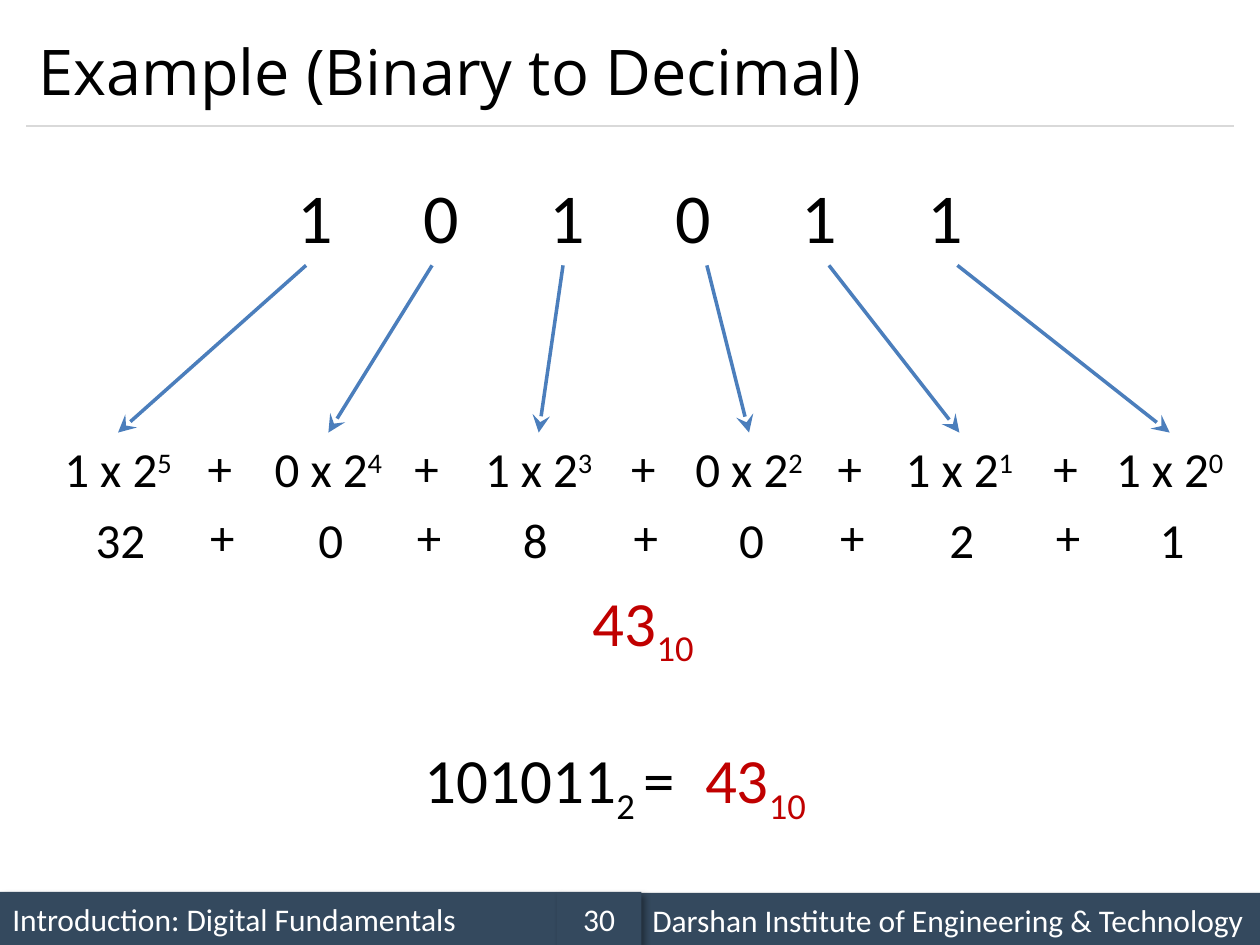
from lxml import etree
from pptx import Presentation
from pptx.dml.color import RGBColor
from pptx.enum import shapes, text
from pptx.oxml import ns
from pptx.util import Cm, Pt

BLACK = RGBColor(0x00, 0x00, 0x00)
WHITE = RGBColor(0xFF, 0xFF, 0xFF)
RED = RGBColor(0xC0, 0x00, 0x00)
BLUE = RGBColor(0x4B, 0x7E, 0xBC)
SLATE = RGBColor(0x34, 0x49, 0x5E)
RULE_GREY = RGBColor(0xD9, 0xD9, 0xD9)

TITLE = "Example (Binary to Decimal)"
# bit, power of two, value, x where the arrow starts, sideways shift of the value
COLUMNS = [
    ("1", "5", "32", 6.17, 0.05),
    ("0", "4", "0", 8.71, 0.05),
    ("1", "3", "8", 11.35, -0.07),
    ("0", "2", "0", 14.25, 0.05),
    ("1", "1", "2", 16.71, 0.05),
    ("1", "0", "1", 19.3, 0.05),
]
PLUS_LEFTS = [3.91, 8.08, 12.45, 16.61, 20.96]
# text, left, top, width, alignment
FOOTER = [
    ("Introduction: Digital Fundamentals", 0, 17.98, 11.23, text.PP_ALIGN.LEFT),
    ("Darshan Institute of Engineering & Technology", 12.9, 18.0, 12.5, text.PP_ALIGN.LEFT),
    ("30", 11.23, 17.98, 1.7, text.PP_ALIGN.CENTER),
]
RESULT = [("43", 0), ("10", -25)]
BINARY = [("101011", 0), ("2 ", -25), ("=", 0)]

FIRST_LEFT, COLUMN_STEP, COLUMN_WIDTH = 0.74, 4.24, 3.28
PLUS_WIDTH, ROW_HEIGHT, RESULT_HEIGHT = 1.04, 1.45, 1.8
TERM_TOP, VALUE_TOP = 8.72, 10.14
ARROW_TOP, ARROW_BOTTOM = 5.35, 8.72
BIT_STEP = 2.54


def add_text(slide, pieces, left, top, width, height, size, color=BLACK,
             font="Calibri", align=text.PP_ALIGN.CENTER, anchor=text.MSO_ANCHOR.TOP):
    """Add a text box and return its paragraph; pieces are (text, baseline percent)."""
    box = slide.shapes.add_textbox(Cm(left), Cm(top), Cm(width), Cm(height))
    box.text_frame.word_wrap = True
    box.text_frame.vertical_anchor = anchor
    paragraph = box.text_frame.paragraphs[0]
    paragraph.alignment = align
    for wording, baseline in pieces:
        run = paragraph.add_run()
        run.text = wording
        run.font.size, run.font.name = Pt(size), font
        run.font.color.rgb = color
        if baseline:
            run.font._element.set("baseline", str(baseline * 1000))
    return paragraph


def set_tabs(paragraph, step, count):
    """Put count left tab stops on the paragraph, step centimetres apart."""
    properties = paragraph._p.get_or_add_pPr()
    properties.set("defTabSz", str(Cm(step)))
    tabs = etree.SubElement(properties, ns.qn("a:tabLst"))
    for i in range(1, count + 1):
        etree.SubElement(tabs, ns.qn("a:tab"), pos=str(Cm(step * i)), algn="l")


def add_line(slide, x1, y1, x2, y2, color, width, arrow=False):
    line = slide.shapes.add_connector(
        shapes.MSO_CONNECTOR.STRAIGHT, Cm(x1), Cm(y1), Cm(x2), Cm(y2))
    line.line.color.rgb = color
    line.line.width = Pt(width)
    if arrow:
        etree.SubElement(line.line._get_or_add_ln(), ns.qn("a:tailEnd"),
                         type="stealth", w="lg", len="lg")
    etree.SubElement(line._element.spPr, ns.qn("a:effectLst"))


def add_footer_bar(slide, wording, left, top, width, align):
    bar = slide.shapes.add_shape(
        shapes.MSO_SHAPE.RECTANGLE, Cm(left), Cm(top), Cm(width), Cm(1.07))
    bar.fill.solid()
    bar.fill.fore_color.rgb = SLATE
    bar.line.fill.background()
    effects = etree.SubElement(bar._element.spPr, ns.qn("a:effectLst"))
    shadow = etree.SubElement(effects, ns.qn("a:outerShdw"), blurRad=str(Pt(4)),
                              dist=str(Pt(3)), dir="2700000", algn="tl", rotWithShape="0")
    shade = etree.SubElement(shadow, ns.qn("a:srgbClr"), val="000000")
    etree.SubElement(shade, ns.qn("a:alpha"), val="40000")
    frame = bar.text_frame
    frame.text = wording
    frame.vertical_anchor = text.MSO_ANCHOR.MIDDLE
    frame.paragraphs[0].alignment = align
    font = frame.paragraphs[0].runs[0].font
    font.size, font.name = Pt(18), "Calibri"
    font.color.rgb = WHITE


def main():
    deck = Presentation()
    deck.slide_width, deck.slide_height = Cm(25.4), Cm(19.05)
    slide = deck.slides.add_slide(deck.slide_layouts[6])

    for bar in FOOTER:
        add_footer_bar(slide, *bar)
    add_line(slide, 0.53, 2.54, 24.87, 2.54, RULE_GREY, 0.75)
    add_text(slide, [(TITLE, 0)], 0.53, 0.3, 24.34, 2.24, 36, font="Open Sans",
             align=text.PP_ALIGN.LEFT, anchor=text.MSO_ANCHOR.MIDDLE)

    bits = "\t".join(column[0] for column in COLUMNS)
    bit_row = add_text(slide, [(bits, 0)], 0.53, 3.38, 24.34, 1.96, 40)
    set_tabs(bit_row, BIT_STEP, len(COLUMNS) - 1)

    for i, (bit, power, value, arrow_x, shift) in enumerate(COLUMNS):
        left = FIRST_LEFT + i * COLUMN_STEP
        add_line(slide, arrow_x, ARROW_TOP, left + COLUMN_WIDTH / 2, ARROW_BOTTOM,
                 BLUE, 2, arrow=True)
        add_text(slide, [(f"{bit} x 2", 0), (power, 30)],
                 left, TERM_TOP, COLUMN_WIDTH, ROW_HEIGHT, 28)
        add_text(slide, [(value, 0)],
                 left + shift, VALUE_TOP, COLUMN_WIDTH, ROW_HEIGHT, 28)

    for left in PLUS_LEFTS:
        add_text(slide, [("+", 0)], left, 8.69, PLUS_WIDTH, ROW_HEIGHT, 28)
        add_text(slide, [("+", 0)], left + 0.05, 10.08, PLUS_WIDTH, ROW_HEIGHT, 28)

    add_text(slide, RESULT, 11.33, 11.63, COLUMN_WIDTH, RESULT_HEIGHT, 36, RED)
    add_text(slide, BINARY, 8.26, 14.81, 5.64, RESULT_HEIGHT, 36)
    add_text(slide, RESULT, 13.59, 14.81, COLUMN_WIDTH, RESULT_HEIGHT, 36, RED)

    deck.save("out.pptx")


if __name__ == "__main__":
    main()
